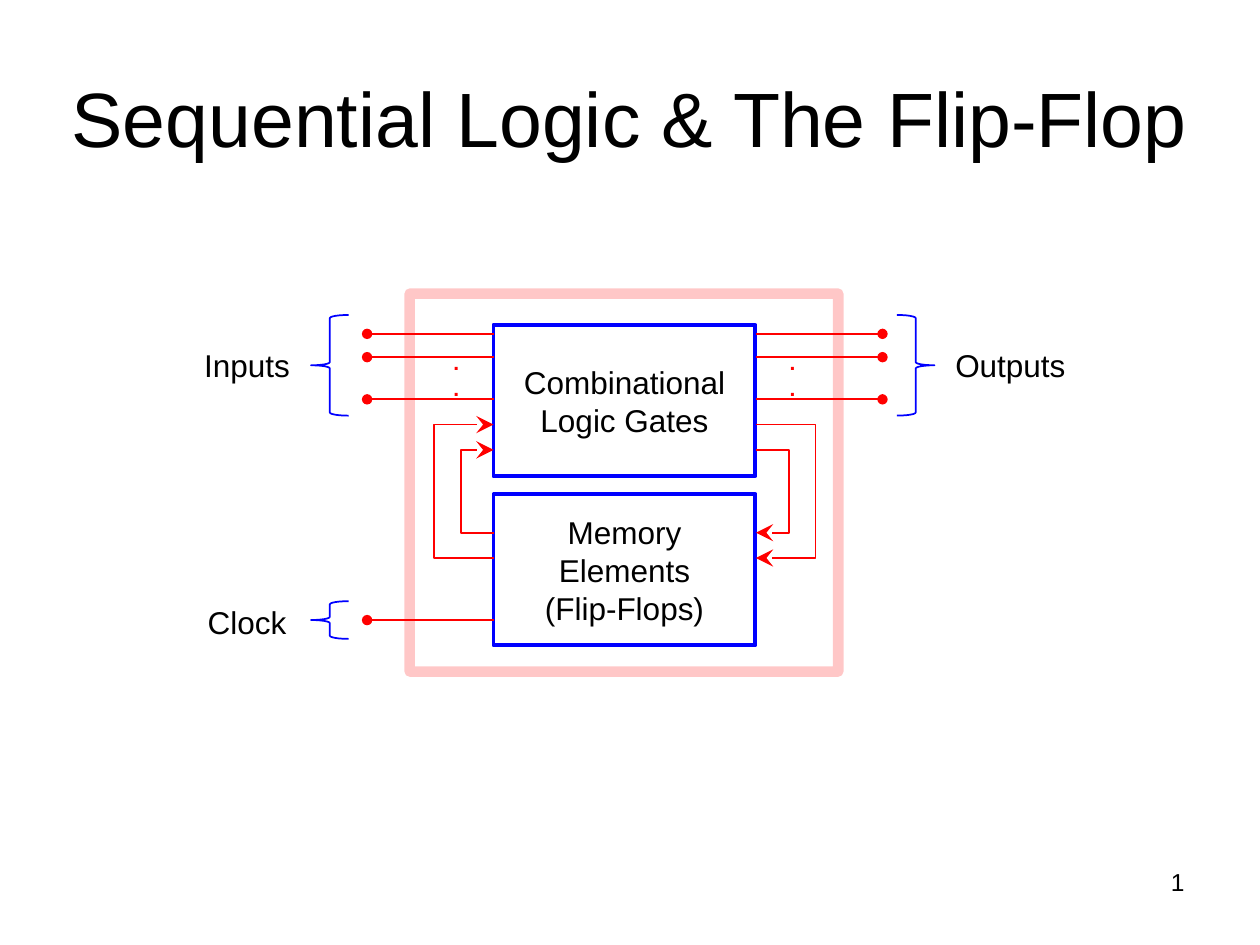
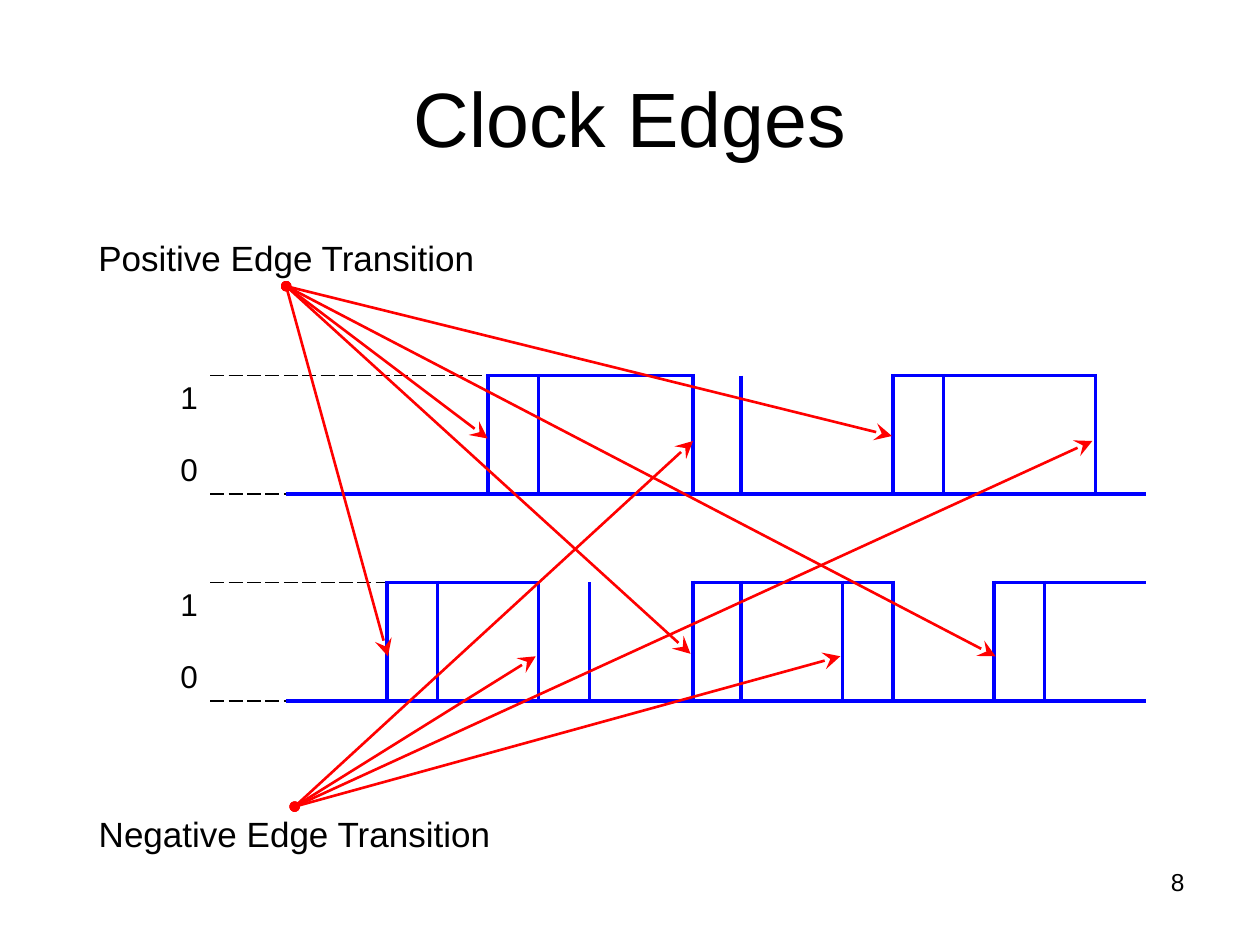
from lxml import etree
from pptx import Presentation
from pptx.dml.color import RGBColor
from pptx.enum.shapes import MSO_CONNECTOR, MSO_SHAPE
from pptx.enum.text import MSO_ANCHOR, PP_ALIGN
from pptx.oxml.ns import qn
from pptx.util import Cm, Pt

BLACK = RGBColor(0x00, 0x00, 0x00)
WHITE = RGBColor(0xFF, 0xFF, 0xFF)
BLUE = RGBColor(0x00, 0x00, 0xFF)
RED = RGBColor(0xFF, 0x00, 0x00)
FONT = "Arial"

LEFT, MID, RIGHT = PP_ALIGN.LEFT, PP_ALIGN.CENTER, PP_ALIGN.RIGHT
TOP, CENTRE = MSO_ANCHOR.TOP, MSO_ANCHOR.MIDDLE
RECT = MSO_SHAPE.RECTANGLE
OPEN, CLOSE = MSO_SHAPE.LEFT_BRACE, MSO_SHAPE.RIGHT_BRACE
STRAIGHT = MSO_CONNECTOR.STRAIGHT
PLAIN = "{2D5ABB26-0587-4C30-8999-92F81FD0307C}"  # table style without grid
ENDS = {"oval": "med", "stealth": "lg"}  # line end and its size


def add(parent, tag, **attrs):
    return etree.SubElement(parent, qn(tag), attrs)


def write(frame, text, size=18, color=BLACK, bold=False, align=MID,
          anchor=TOP, wrap=True, gap=0):
    """Fill a text frame, one paragraph a line, with gap points between."""
    frame.word_wrap = wrap
    frame.vertical_anchor = anchor
    for i, line in enumerate(text.split("\n")):
        para = frame.paragraphs[0] if i == 0 else frame.add_paragraph()
        para.alignment = align
        para.space_before = Pt(gap if i else 0)
        run = para.add_run()
        run.text = line
        font = run.font
        font.name, font.size, font.bold = FONT, Pt(size), bold
        font.color.rgb = color


class Deck:
    def __init__(self):
        self.prs = Presentation()
        self.prs.slide_width, self.prs.slide_height = Cm(25.4), Cm(19.05)
        self.slide = None

    def page(self, title, number):
        self.slide = self.prs.slides.add_slide(self.prs.slide_layouts[5])
        head = self.slide.shapes.title
        head.left, head.top = Cm(0), Cm(0.76)
        head.width, head.height = Cm(25.4), Cm(3.18)
        write(head.text_frame, title, size=44, anchor=CENTRE)
        self.label(number, 18.21, 17.35, 5.92, 1.32, size=14, align=RIGHT)

    def label(self, text, x, y, w, h, **style):
        box = self.slide.shapes.add_textbox(Cm(x), Cm(y), Cm(w), Cm(h))
        write(box.text_frame, text, **style)

    def stroke(self, line, color, width, head=None, tail=None):
        line.color.rgb, line.width = color, Pt(width)
        ln = line._get_or_add_ln()
        for tag, kind in (("a:headEnd", head), ("a:tailEnd", tail)):
            if kind:
                add(ln, tag, type=kind, w=ENDS[kind], len=ENDS[kind])

    def shape(self, kind, x, y, w, h, color=BLUE, width=1, text="", alpha=None):
        item = self.slide.shapes.add_shape(kind, Cm(x), Cm(y), Cm(w), Cm(h))
        item.shadow.inherit = False
        item.fill.background()
        self.stroke(item.line, color, width)
        if alpha:
            tint = item.line._get_or_add_ln().find(".//" + qn("a:srgbClr"))
            add(tint, "a:alpha", val=str(alpha * 1000))
        if text:
            write(item.text_frame, text, anchor=CENTRE)

    def wire(self, start, end, width=1, **ends):
        link = self.slide.shapes.add_connector(
            STRAIGHT, *(Cm(v) for v in (*start, *end)))
        add(link._element.spPr, "a:effectLst")
        self.stroke(link.line, RED, width, **ends)

    def loop(self, edge, out, first, last):
        """Arrow that leaves an edge at one height and returns at another."""
        spots = [(edge, first), (out, first), (out, last), (edge, last)]
        start, *rest = [(Cm(x), Cm(y)) for x, y in spots]
        draft = self.slide.shapes.build_freeform(*start)
        draft.add_line_segments(rest, close=False)
        item = draft.convert_to_shape()
        item.shadow.inherit = False
        item.fill.background()
        self.stroke(item.line, RED, 1, tail="stealth")

    def grid(self, x, y, cols, rows):
        item = self.slide.shapes.add_table(
            len(rows), len(cols), Cm(x), Cm(y), Cm(sum(cols)), Cm(sum(rows)))
        table = item.table
        table.first_row = table.horz_banding = False
        table._tbl.tblPr.find(qn("a:tableStyleId")).text = PLAIN
        for col, w in zip(table.columns, cols):
            col.width = Cm(w)
        for row, h in zip(table.rows, rows):
            row.height = Cm(h)
        for cell in table.iter_cells():
            cell.margin_top = cell.margin_bottom = 0
            cell.fill.solid()
            cell.fill.fore_color.rgb = WHITE
        return table

    def border(self, cell, sides):
        """Draw sides, a dict of L, R, T, B to (colour, width, dash)."""
        props = cell._tc.get_or_add_tcPr()
        kept = [side for side in "LRTB" if side in sides]
        for i, side in enumerate(kept):
            color, width, dash = sides[side]
            ln = etree.Element(qn("a:ln" + side), w=str(Pt(width)))
            add(add(ln, "a:solidFill"), "a:srgbClr", val=str(color))
            add(ln, "a:prstDash", val=dash)
            props.insert(i, ln)


def logic(deck):
    deck.page("Sequential Logic & The Flip-Flop", "1")
    near, far, wide = 9.95, 15.24, 2.55

    # Blocks
    for y, text in ((6.55, "Combinational\nLogic Gates"),
                    (9.96, "Memory Elements\n(Flip-Flops)")):
        deck.shape(RECT, near, y, 5.28, 3.05, width=2.25, text=text)

    # Input, output and clock wires
    for y in (6.73, 7.2, 8.05):
        deck.wire((near, y), (near - wide, y), tail="oval")
        deck.wire((far, y), (far + wide, y), tail="oval")
    deck.wire((near, 12.5), (near - wide, 12.5), tail="oval")
    for x in (8.89, 15.67):
        deck.label(".\n.", x, 6.93, 0.64, 1.27, size=12, color=RED,
                   bold=True, align=LEFT, wrap=False)

    # Feedback loops
    for high, low, out in ((9.07, 10.74, 0.66), (8.56, 11.25, 1.2)):
        deck.loop(near, near - out, low, high)
        deck.loop(far, far + out, high, low)

    # Braces and their labels
    for kind, x, y, h in ((OPEN, 6.27, 6.35, 2.03), (CLOSE, 18.08, 6.35, 2.03),
                          (OPEN, 6.27, 12.12, 0.76)):
        deck.shape(kind, x, y, 0.76, h)
    for text, x, y, w in (("Inputs", 3.81, 6.86, 2.34),
                          ("Outputs", 18.87, 6.86, 3),
                          ("Clock", 3.81, 12.04, 2.34)):
        deck.label(text, x, y, w, 1.02)

    # Frame
    deck.shape(RECT, 8.26, 5.92, 8.64, 7.62, color=RED, width=6, alpha=21)


def wave(deck, table, row, levels):
    """Trace levels in a row: 0 low, 1 high, - for the lead-in column."""
    solid, dash = (BLUE, 2.25, "solid"), (BLACK, 1, "dash")
    rise = levels.index("1")
    for i, level in enumerate(levels):
        above, here, below = {}, {}, {}
        if level == "1" or i < rise:
            above["B"] = here["T"] = solid if level == "1" else dash
        if level != "1":
            below["T"] = here["B"] = solid if level == "0" else dash
        if i > 1 and levels[i - 1] != level:
            here["L"] = solid
        if 0 < i < len(levels) - 1 and levels[i + 1] != level:
            here["R"] = solid
        for step, sides in ((-1, above), (0, here), (1, below)):
            deck.border(table.cell(row + step, i + 1), sides)
    write(table.cell(row, 0).text_frame, "1\n0", align=RIGHT, gap=20.7)
    table.cell(row, 0).vertical_anchor = CENTRE


def edges(deck):
    deck.page("Clock Edges", "8")

    # Two clock signals
    cols = [1.5, 1.52] + [1.02] * 7 + [1.07, 0.97] + [1.02] * 8
    table = deck.grid(2.74, 6.55, cols, [1.02, 2.39, 1.78, 2.39, 1.02])
    wave(deck, table, 1, "-" + "0000" + "1111" + "0000" + "1111" + "0")
    wave(deck, table, 3, "-" + "00" + "111" + "000" + "111" + "000" + "111")

    # Labels with arrows to each edge
    fans = (
        ("Positive Edge Transition", 4.65, 8.15, (5.77, 5.77),
         ((9.83, 8.84), (17.98, 8.79), (7.82, 13.23), (13.92, 13.18),
          (20.07, 13.23))),
        ("Negative Edge Transition", 16.26, 8.48, (5.94, 16.26),
         ((13.97, 8.89), (10.8, 13.23), (16.94, 13.23), (22.02, 8.89))),
    )
    for text, y, w, start, tips in fans:
        deck.label(text, 1.7, y, w, 1.12, size=20, wrap=False)
        for tip in tips:
            deck.wire(start, tip, width=1.5, head="oval", tail="stealth")


def main():
    deck = Deck()
    logic(deck)
    edges(deck)
    deck.prs.save("out.pptx")


if __name__ == "__main__":
    main()
